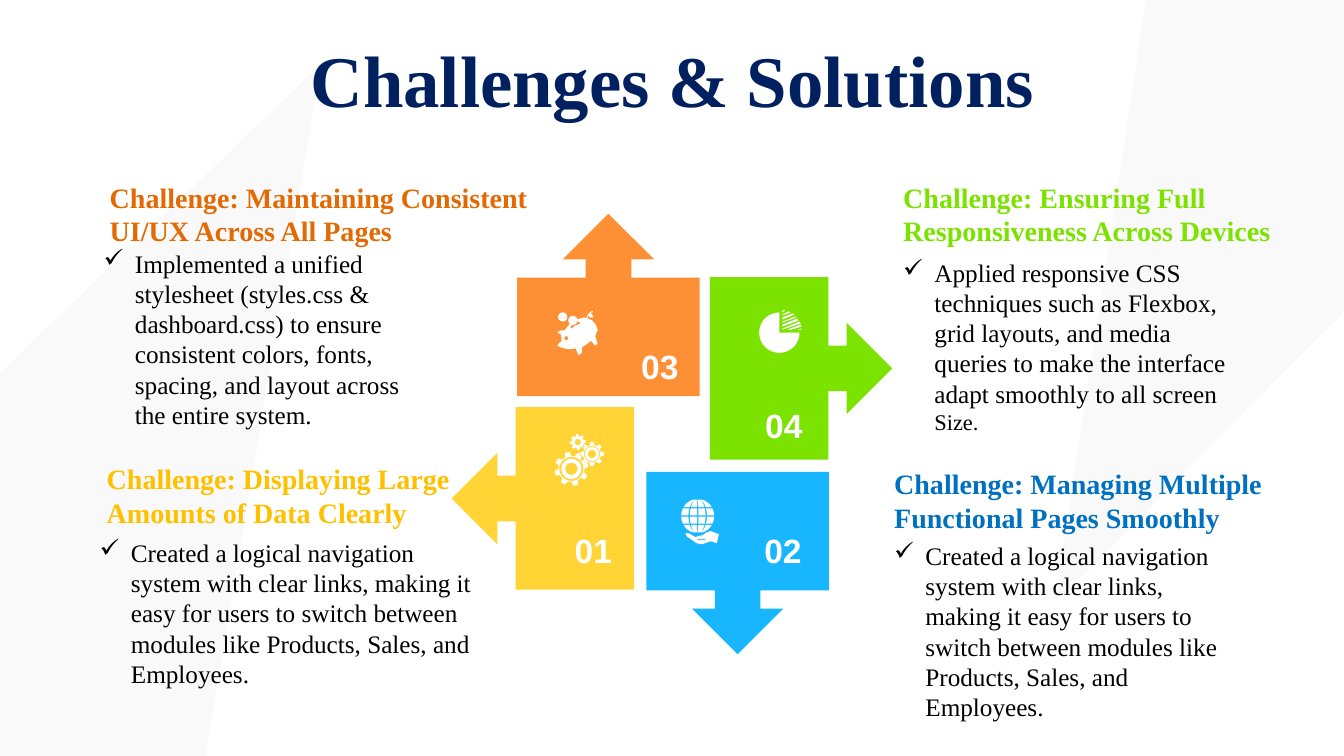
from math import cos, pi, sin, sqrt

from lxml.etree import SubElement
from pptx import Presentation
from pptx.dml.color import RGBColor
from pptx.enum.shapes import MSO_SHAPE
from pptx.enum.text import MSO_ANCHOR, MSO_AUTO_SIZE, PP_ALIGN
from pptx.oxml.ns import qn
from pptx.util import Inches, Pt

COLORS = {
    "white": "FFFFFF", "black": "000000", "navy": "002060", "gray": "BFBFBF",
    "green": "7CE200", "orange": "FD9034", "yellow": "FFD434", "blue": "17B6FF",
    "dark orange": "E36902", "gold": "FFC000", "dark blue": "0070C0",
}


def paint(shape, color):
    shape.shadow.inherit = False
    shape.fill.solid()
    shape.fill.fore_color.rgb = RGBColor.from_string(COLORS[color])
    shape.line.fill.background()


def add_text(box, texts, size, color, bold=False, font="Times New Roman"):
    text_box = page.shapes.add_textbox(*[Inches(length) for length in box])
    frame = text_box.text_frame
    frame.word_wrap = True
    frame.auto_size = MSO_AUTO_SIZE.SHAPE_TO_FIT_TEXT
    para = frame.paragraphs[0]
    para.font.size = Pt(size)
    para.font.name = font
    para.font.bold = bold
    para.font.color.rgb = RGBColor.from_string(COLORS[color])
    for text in texts:
        para.add_run().text = text
    return frame, para


deck = Presentation()
deck.slide_width = Inches(13.33)
deck.slide_height = Inches(7.5)
page = deck.slides.add_slide(deck.slide_layouts[6])

for box, angle in [((7.84, -0.29, 6.43, 4.69), 314.7), ((-1.25, 2.42, 7.36, 5.47), 136.1)]:
    triangle = page.shapes.add_shape(MSO_SHAPE.RIGHT_TRIANGLE, *[Inches(length) for length in box])
    paint(triangle, "gray")
    triangle.rotation = angle
    triangle._element.spPr.xfrm.set("flipH", "1")
    fill_color = triangle._element.spPr.find(qn("a:solidFill"))[0]
    SubElement(fill_color, qn("a:alpha")).set("val", "8000")

title_frame, title = add_text((0.34, 0.44, 12.66, 0.79), ["Challenges & Solutions"], 52, "navy", True)
title_frame.auto_size = MSO_AUTO_SIZE.NONE
title_frame.vertical_anchor = MSO_ANCHOR.MIDDLE
title.alignment = PP_ALIGN.CENTER
title.line_spacing = 0.9
title.space_before = Pt(10)

arrows = [
    (7.04, 2.75, 90, "green"),
    (5.13, 2.12, 0, "orange"),
    (4.48, 4.04, 270, "yellow"),
    (6.41, 4.68, 180, "blue"),
]
for left, top, angle, color in arrows:
    arrow = page.shapes.add_shape(
        MSO_SHAPE.UP_ARROW_CALLOUT, Inches(left), Inches(top), Inches(1.81), Inches(1.81))
    paint(arrow, color)
    arrow.rotation = angle

globe = [[
    (7.05, 5.27), (7.13, 5.3), (7.11, 5.39), (7.05, 5.37), (6.96, 5.4), (6.91, 5.39), (6.81, 5.32),
    (6.8, 5.29), (6.83, 5.29), (6.9, 5.33), (6.92, 5.36), (6.98, 5.36), (7.02, 5.34), (6.97, 5.35),
    (6.92, 5.35), (6.9, 5.33), (6.92, 5.32), (6.97, 5.31), (7.01, 5.28),
]]
meridians = [-1, -0.5, 0, 0.5, 1]
parallels = [-1, -0.48, 0, 0.48, 1]
for west, east in zip(meridians, meridians[1:]):
    for north, south in zip(parallels, parallels[1:]):
        rows = [north + 0.04 + (south - north - 0.08) * step / 6 for step in range(7)]
        sides = [(west + 0.04, row) for row in rows] + [(east - 0.04, row) for row in rows[::-1]]
        globe.append([(6.92 + 0.17 * x * sqrt(1 - y * y), 5.12 + 0.17 * y) for x, y in sides])

pig = [[
    (5.95, 3.19), (5.95, 3.2), (5.92, 3.2), (5.93, 3.22), (5.93, 3.24), (5.92, 3.25), (5.9, 3.24),
    (5.89, 3.21), (5.87, 3.23), (5.9, 3.27), (5.91, 3.32), (5.9, 3.38), (5.85, 3.42), (5.83, 3.5),
    (5.8, 3.5), (5.79, 3.44), (5.72, 3.45), (5.68, 3.45), (5.65, 3.5), (5.61, 3.5), (5.62, 3.43),
    (5.57, 3.41), (5.53, 3.38), (5.49, 3.34), (5.48, 3.31), (5.51, 3.3), (5.53, 3.3), (5.56, 3.25),
    (5.56, 3.23), (5.54, 3.2), (5.58, 3.2), (5.61, 3.22), (5.69, 3.19), (5.7, 3.21), (5.68, 3.22),
    (5.68, 3.24), (5.73, 3.23), (5.78, 3.24), (5.79, 3.22), (5.77, 3.22), (5.78, 3.19), (5.83, 3.2),
    (5.87, 3.22), (5.89, 3.2), (5.93, 3.19),
]]
gears = []
pie = [
    [(7.95, 3.26), (7.95, 3.27), (7.91, 3.27)],
    [(7.94, 3.22), (7.95, 3.24), (7.85, 3.27), (7.81, 3.27)],
    [(7.93, 3.19), (7.94, 3.21), (7.76, 3.27), (7.76, 3.26)],
    [(7.91, 3.16), (7.92, 3.18), (7.76, 3.24), (7.76, 3.22)],
    [(7.89, 3.14), (7.9, 3.15), (7.76, 3.2), (7.76, 3.19)],
    [(7.86, 3.11), (7.88, 3.12), (7.76, 3.17), (7.76, 3.15)],
    [(7.82, 3.09), (7.84, 3.1), (7.76, 3.13), (7.76, 3.12)],
    [(7.76, 3.08), (7.79, 3.08), (7.76, 3.1)],
    [(7.73, 3.3)] + [(7.73 + 0.2 * cos(step * pi / 24), 3.3 + 0.2 * sin(step * pi / 24))
                     for step in range(37)],
]

for x, y, outer, inner, turn in [
        (5.645, 4.63, 0.17, 0.13, 0), (5.88, 4.54, 0.12, 0.09, 15), (5.775, 4.39, 0.08, 0.06, 10)]:
    outline = []
    for tooth in range(8):
        for offset, radius in [(-14, inner), (-8, outer), (8, outer), (14, inner)]:
            angle = (45 * tooth + offset + turn) * pi / 180
            outline.append((x + radius * cos(angle), y + radius * sin(angle)))
    gears.append(outline)

circles = [
    (pig, 5.59, 3.295, 0.02), (pig, 5.735, 3.175, 0.045), (pig, 5.665, 3.095, 0.045),
    (gears, 5.645, 4.63, 0.12), (gears, 5.645, 4.63, 0.1), (gears, 5.645, 4.63, 0.06),
    (gears, 5.88, 4.54, 0.08), (gears, 5.88, 4.54, 0.07), (gears, 5.88, 4.54, 0.04),
    (gears, 5.775, 4.39, 0.03),
]
for icon, x, y, radius in circles:
    icon.append([(x + radius * cos(step * pi / 16), y + radius * sin(step * pi / 16))
                 for step in range(32)])

for outlines, angle in [(globe, 0), (pig, 330), (gears, 345), (pie, 0)]:
    contours = [[(Inches(x), Inches(y)) for x, y in outline] for outline in outlines]
    builder = page.shapes.build_freeform(*contours[0][0])
    for contour in contours:
        if contour is not contours[0]:
            builder.move_to(*contour[0])
        builder.add_line_segments(contour[1:], close=True)
    icon_shape = builder.convert_to_shape()
    paint(icon_shape, "white")
    icon_shape.rotation = angle

for number, left, top in [("02", 7.44, 5.21), ("04", 7.45, 3.97), ("03", 6.22, 3.38), ("01", 5.56, 5.21)]:
    frame, para = add_text((left, top, 0.65, 0.5), [number], 24, "white", True, "Arial")
    para.alignment = PP_ALIGN.CENTER

navigation = ("Created a logical navigation system with clear links, making it easy for users "
              "to switch between modules like Products, Sales, and Employees.")
challenges = [
    ((0.99, 1.74, 4.43, 0.77), "Challenge: Maintaining Consistent UI/UX Across All Pages", "dark orange",
     (0.93, 2.41, 3.49, 1.92),
     ["Implemented a unified stylesheet (styles.css & dashboard.css) to ensure consistent colors, "
      "fonts, spacing, and layout across the entire system."]),
    ((0.96, 4.53, 3.71, 0.77), "Challenge: Displaying Large Amounts of Data Clearly", "gold",
     (0.89, 5.28, 3.91, 1.62), [navigation]),
    ((8.77, 4.58, 3.85, 0.77), "Challenge: Managing Multiple Functional Pages Smoothly", "dark blue",
     (8.77, 5.31, 3.49, 1.92), [navigation]),
    ((8.86, 1.74, 3.92, 0.77), "Challenge: Ensuring Full Responsiveness Across Devices", "green",
     (8.86, 2.5, 3.49, 2.15),
     ["Applied responsive CSS techniques such as Flexbox, grid layouts, and media queries to make "
      "the interface adapt smoothly to all screen ", "Size."]),
]
for heading_box, heading, color, solution_box, solution in challenges:
    add_text(heading_box, [heading], 20, color, True)
    frame, para = add_text(solution_box, solution, 18, "black")
    for span in para.runs[1:]:
        span.font.size = Pt(16)
    properties = para._p.get_or_add_pPr()
    properties.set("marL", str(Inches(0.31)))
    properties.set("indent", str(-Inches(0.31)))
    bullet = properties.makeelement(qn("a:buChar"), {"char": "✓"})
    properties.insert(0, bullet)

deck.save("out.pptx")
